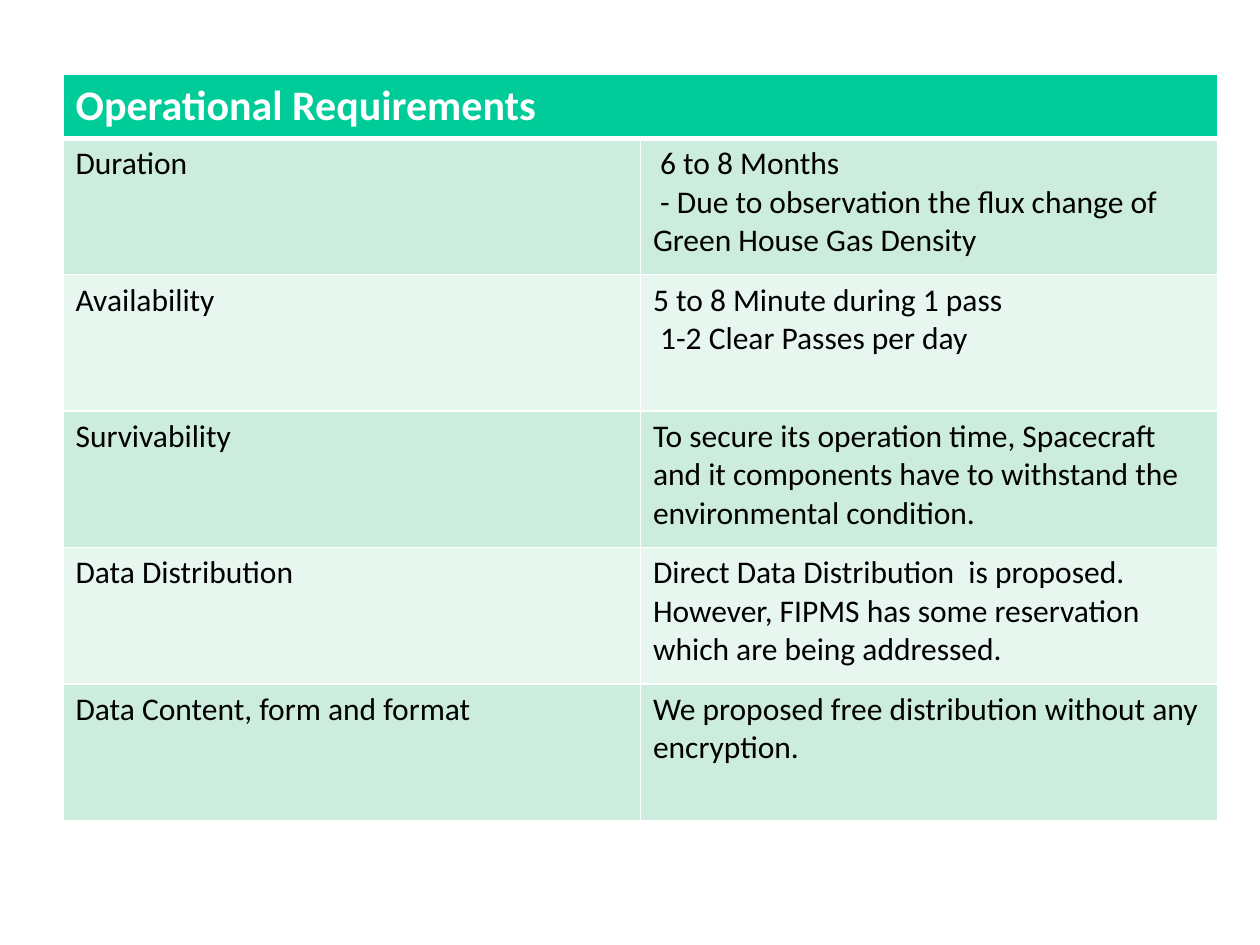
from typing import NamedTuple

from lxml.etree import SubElement
from pptx import Presentation
from pptx.dml.color import RGBColor
from pptx.oxml.ns import qn
from pptx.table import _Cell as Cell
from pptx.util import Pt

WHITE = RGBColor(0xFF, 0xFF, 0xFF)
BLACK = RGBColor(0x00, 0x00, 0x00)
GREEN = RGBColor(0x00, 0xCC, 0x99)
MINT = RGBColor(0xCC, 0xEC, 0xDE)
PALE = RGBColor(0xE7, 0xF6, 0xEF)

LEFT, TOP = 36, 42.5
COL_WIDTH = 330
HEAD_HEIGHT, ROW_HEIGHT = 31, 78


class Need(NamedTuple):
    name: str
    lines: tuple[str, ...]


TITLE = "Operational Requirements"
NEEDS = [
    Need("Duration", (
        " 6 to 8 Months",
        " - Due to observation the flux change of Green House Gas Density",
    )),
    Need("Availability", (
        "5 to 8 Minute during 1 pass",
        " 1-2 Clear Passes per day",
    )),
    Need("Survivability", (
        "To secure its operation time, Spacecraft and it components "
        "have to withstand the environmental condition.",
    )),
    Need("Data Distribution", (
        "Direct Data Distribution  is proposed. However, FIPMS has some "
        "reservation which are being addressed.",
    )),
    Need("Data Content, form and format", (
        "We proposed free distribution without any encryption.",
    )),
]


def write(cell: Cell, *lines: str, size: float = 18,
          color: RGBColor = BLACK, bold: bool = False) -> None:
    frame = cell.text_frame
    frame.text = "\n".join(lines)
    for para in frame.paragraphs:
        for run in para.runs:
            font = run.font
            font.name, font.size, font.bold = "Calibri", Pt(size), bold
            font.color.rgb = color


def paint(cell: Cell, fill: RGBColor, top: float = 1, bottom: float = 1) -> None:
    """Give the cell white borders, in points, and a solid fill."""
    props = cell._tc.get_or_add_tcPr()
    for side, width in (("L", 1), ("R", 1), ("T", top), ("B", bottom)):
        line = SubElement(props, qn(f"a:ln{side}"), w=str(Pt(width)))
        solid = SubElement(line, qn("a:solidFill"))
        SubElement(solid, qn("a:srgbClr"), val=str(WHITE))
    cell.fill.solid()
    cell.fill.fore_color.rgb = fill


def main() -> None:
    deck = Presentation()
    deck.slide_width, deck.slide_height = Pt(720), Pt(540)
    slide = deck.slides.add_slide(deck.slide_layouts[6])
    count = len(NEEDS)
    table = slide.shapes.add_table(
        count + 1, 2, Pt(LEFT), Pt(TOP), Pt(2 * COL_WIDTH),
        Pt(HEAD_HEIGHT + count * ROW_HEIGHT)).table
    for col in table.columns:
        col.width = Pt(COL_WIDTH)
    for index, row in enumerate(table.rows):
        row.height = Pt(ROW_HEIGHT if index else HEAD_HEIGHT)

    head = table.cell(0, 0)
    head.merge(table.cell(0, 1))
    write(head, TITLE, size=24, color=WHITE, bold=True)
    for cell in table.rows[0].cells:
        paint(cell, GREEN, bottom=3)

    for index, need in enumerate(NEEDS, 1):
        name, detail = table.rows[index].cells
        write(name, need.name)
        write(detail, *need.lines)
        for cell in (name, detail):
            paint(cell, MINT if index % 2 else PALE, top=3 if index == 1 else 1)

    deck.save("out.pptx")


if __name__ == "__main__":
    main()
